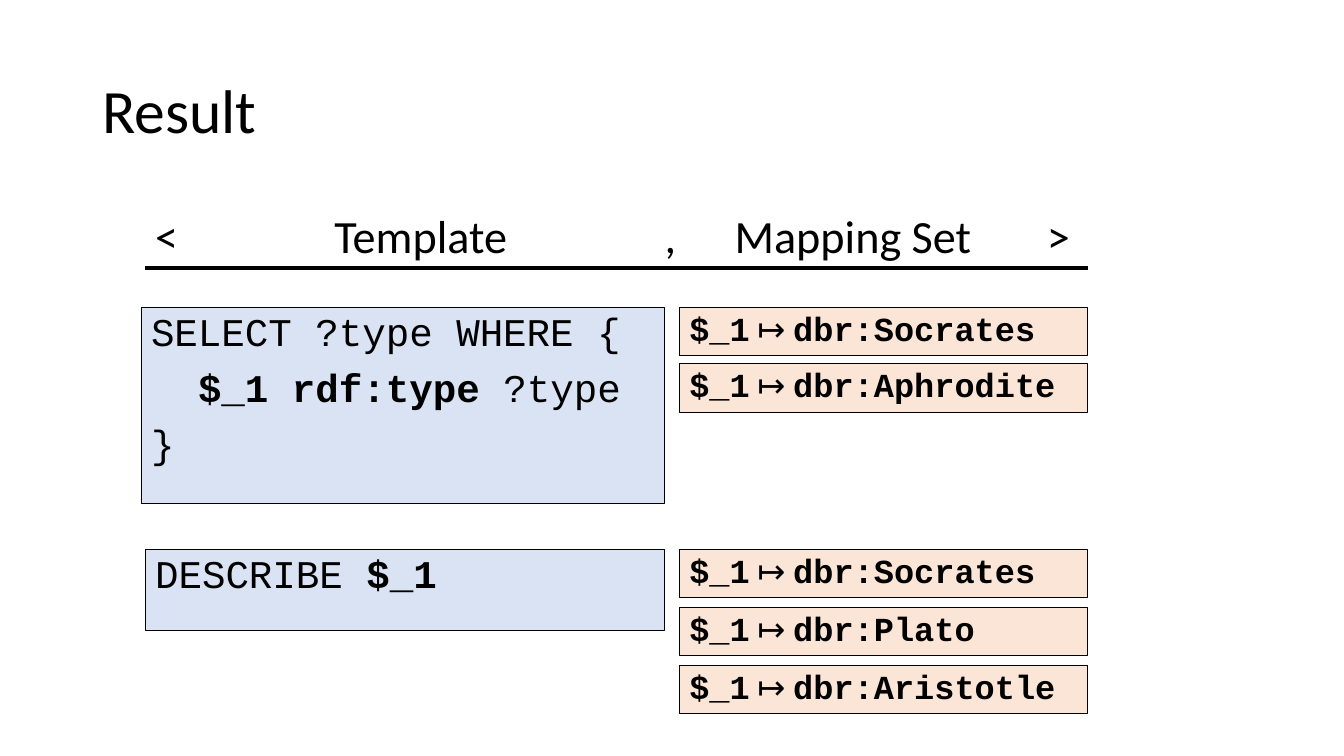
from lxml.etree import SubElement
from pptx import Presentation
from pptx.dml.color import RGBColor
from pptx.enum.shapes import MSO_CONNECTOR, MSO_SHAPE
from pptx.enum.text import MSO_ANCHOR, PP_ALIGN
from pptx.oxml.ns import qn
from pptx.util import Pt

BLACK, BLUE, PEACH = "000000", "DAE3F3", "FBE5D6"
TEXT_FONT, CODE_FONT = "Calibri", "Courier New"


def color(hex_code):
    return RGBColor.from_string(hex_code)


class SlideBuilder:
    """Holds the shared style and the slide being built."""

    def __init__(self, slide):
        self.slide = slide

    def style(self, paragraph, size, name, bold=False):
        paragraph.alignment = PP_ALIGN.LEFT
        paragraph.line_spacing = 0.9
        font = paragraph.font
        font.size, font.name, font.bold = Pt(size), name, bold
        font.color.rgb = color(BLACK)

    def title(self, text, *box):
        heading = self.slide.shapes.title
        heading.left, heading.top, heading.width, heading.height = map(Pt, box)
        heading.text_frame.vertical_anchor = MSO_ANCHOR.MIDDLE
        heading.text_frame.text = text
        self.style(heading.text_frame.paragraphs[0], 44, TEXT_FONT)

    def header(self, labels, stops, *box):
        """Place the labels on one line, each after the first at a tab stop."""
        frame = self.slide.shapes.add_textbox(*map(Pt, box)).text_frame
        frame.word_wrap = True
        frame.vertical_anchor = MSO_ANCHOR.MIDDLE
        paragraph = frame.paragraphs[0]
        paragraph.text = "\t".join(labels)
        tabs = SubElement(paragraph._p.get_or_add_pPr(), qn("a:tabLst"))
        for stop in stops:
            SubElement(tabs, qn("a:tab"), pos=str(Pt(stop)), algn="l")
        self.style(paragraph, 33, TEXT_FONT)

    def rule(self, left, right, y):
        line = self.slide.shapes.add_connector(
            MSO_CONNECTOR.STRAIGHT, Pt(left), Pt(y), Pt(right), Pt(y))
        line.line.color.rgb = color(BLACK)
        line.line.width = Pt(3)
        SubElement(line._element.spPr, qn("a:effectLst"))

    def panel(self, fill, *box):
        """Draw an outlined box and return its text frame."""
        shape = self.slide.shapes.add_shape(MSO_SHAPE.RECTANGLE, *map(Pt, box))
        shape.shadow.inherit = False
        shape.fill.solid()
        shape.fill.fore_color.rgb = color(fill)
        shape.line.color.rgb = color(BLACK)
        shape.line.width = Pt(0.75)
        frame = shape.text_frame
        frame.word_wrap = True
        frame.vertical_anchor = MSO_ANCHOR.TOP
        return frame

    def template(self, lines, *box):
        """Show code lines, each a list of (text, bold) pieces."""
        frame = self.panel(BLUE, *box)
        for number, pieces in enumerate(lines):
            paragraph = frame.add_paragraph() if number else frame.paragraphs[0]
            self.style(paragraph, 28, CODE_FONT)
            if number:
                paragraph.space_before = Pt(10)
            for text, bold in pieces:
                run = paragraph.add_run()
                run.text = text
                if bold:
                    run.font.bold = True

    def mappings(self, resources, top, pitch):
        for row, resource in enumerate(resources):
            frame = self.panel(PEACH, 485.3, top + row * pitch, 291.6, 34.6)
            paragraph = frame.paragraphs[0]
            self.style(paragraph, 24, CODE_FONT, bold=True)
            for text in ("$_1", " ↦ ", resource):
                run = paragraph.add_run()
                run.text = text
                if "↦" in text:
                    run.font.name, run.font.bold = TEXT_FONT, False


def main():
    deck = Presentation()
    deck.slide_width, deck.slide_height = Pt(960), Pt(540)
    builder = SlideBuilder(deck.slides.add_slide(deck.slide_layouts[5]))

    builder.title("Result", 66, 28.8, 828, 104.4)

    select_top, describe_top = 219.6, 392.4
    builder.template(
        [[("SELECT ?type WHERE {", False)],
         [("  ", False), ("$_1 rdf:type", True), (" ?type", False)],
         [("}", False)]],
        100.8, select_top, 373.7, 140.4)
    builder.mappings(["dbr:Socrates", "dbr:Aphrodite"], select_top, 40.3)

    builder.template([[("DESCRIBE ", False), ("$_1", True)]],
                     103.7, describe_top, 370.8, 58.3)
    builder.mappings(["dbr:Socrates", "dbr:Plato", "dbr:Aristotle"],
                     describe_top, 41.4)

    builder.rule(103.7, 776.9, 191.5)
    builder.header(["<", "Template", ",", "Mapping Set", ">"],
                   [128, 364, 414, 637], 103.7, 145.4, 673.2, 50.4)

    deck.save("out.pptx")


if __name__ == "__main__":
    main()
